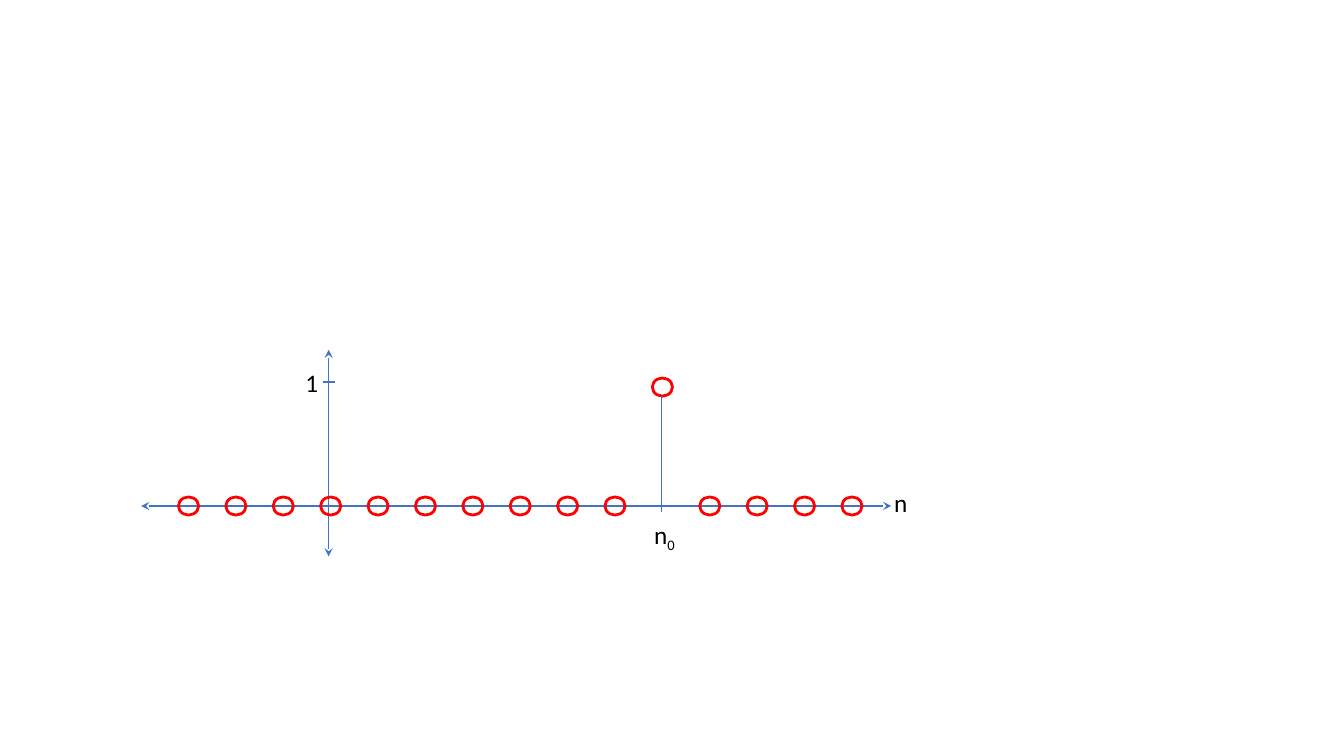
from lxml import etree
from pptx import Presentation
from pptx.dml.color import RGBColor
from pptx.enum.shapes import MSO_CONNECTOR, MSO_SHAPE
from pptx.enum.text import MSO_AUTO_SIZE
from pptx.oxml.ns import qn
from pptx.util import Inches, Pt

STRAIGHT = MSO_CONNECTOR.STRAIGHT
OVAL = MSO_SHAPE.OVAL
FIT_SHAPE = MSO_AUTO_SIZE.SHAPE_TO_FIT_TEXT
BLUE = RGBColor(0x44, 0x72, 0xC4)
RED = RGBColor(0xFF, 0x00, 0x00)
BLACK = RGBColor(0x00, 0x00, 0x00)

# Sample grid in inches: sample n stands at ORIGIN_X + n * STEP
ORIGIN_X, STEP = 3.28, 0.47
AXIS_X, AXIS_Y = 3.26, 5.02
UNIT_Y = 3.79
IMPULSE = 7
IMPULSE_X = 6.56
IMPULSE_Y = 3.84
MARKER_WIDTH, MARKER_HEIGHT = 0.2, 0.18
TICK = 0.06

deck = Presentation()
deck.slide_width, deck.slide_height = Inches(13.33), Inches(7.5)
page = deck.slides.add_slide(deck.slide_layouts[6])


def add_line(left, top, right, bottom, width=1, arrows=False):
    line = page.shapes.add_connector(
        STRAIGHT, Inches(left), Inches(top), Inches(right), Inches(bottom))
    line.line.color.rgb = BLUE
    line.line.width = Pt(width)
    if arrows:
        outline = line.line._get_or_add_ln()
        for end in ("a:headEnd", "a:tailEnd"):
            etree.SubElement(outline, qn(end), type="stealth")
    etree.SubElement(line._element.spPr, qn("a:effectLst"))


def add_label(left, top, width, text, subscript=""):
    box = page.shapes.add_textbox(
        Inches(left), Inches(top), Inches(width), Inches(0.4))
    box.text_frame.word_wrap = False
    box.text_frame.auto_size = FIT_SHAPE
    para = box.text_frame.paragraphs[0]
    para.text = text
    if subscript:
        para.add_run().text = subscript
        para.runs[-1].font._element.set("baseline", "-25000")
    for span in para.runs:
        span.font.name = "Calibri"
        span.font.size = Pt(18)
        span.font.color.rgb = BLACK


# Axes, ticks and labels
add_line(1.4, AXIS_Y, 8.84, AXIS_Y, arrows=True)
add_line(AXIS_X, 5.52, AXIS_X, 3.47, arrows=True)
add_line(AXIS_X - TICK, UNIT_Y, AXIS_X + TICK, UNIT_Y)
add_line(IMPULSE_X, AXIS_Y + TICK, IMPULSE_X, AXIS_Y - TICK)
add_label(2.93, 3.59, 0.33, "1")
add_label(6.39, 5.1, 0.42, "n", "0")
add_label(8.77, 4.79, 0.34, "n")

# Samples are zero everywhere except at the impulse
for n in range(-3, 12):
    center_x = ORIGIN_X + n * STEP
    center_y = IMPULSE_Y if n == IMPULSE else AXIS_Y
    marker = page.shapes.add_shape(
        OVAL, Inches(center_x - MARKER_WIDTH / 2), Inches(center_y - MARKER_HEIGHT / 2),
        Inches(MARKER_WIDTH), Inches(MARKER_HEIGHT))
    marker.shadow.inherit = False
    marker.fill.background()
    marker.line.color.rgb = RED
    marker.line.width = Pt(2)

add_line(IMPULSE_X, AXIS_Y, IMPULSE_X, IMPULSE_Y + MARKER_HEIGHT / 2, width=0.5)

deck.save("out.pptx")
